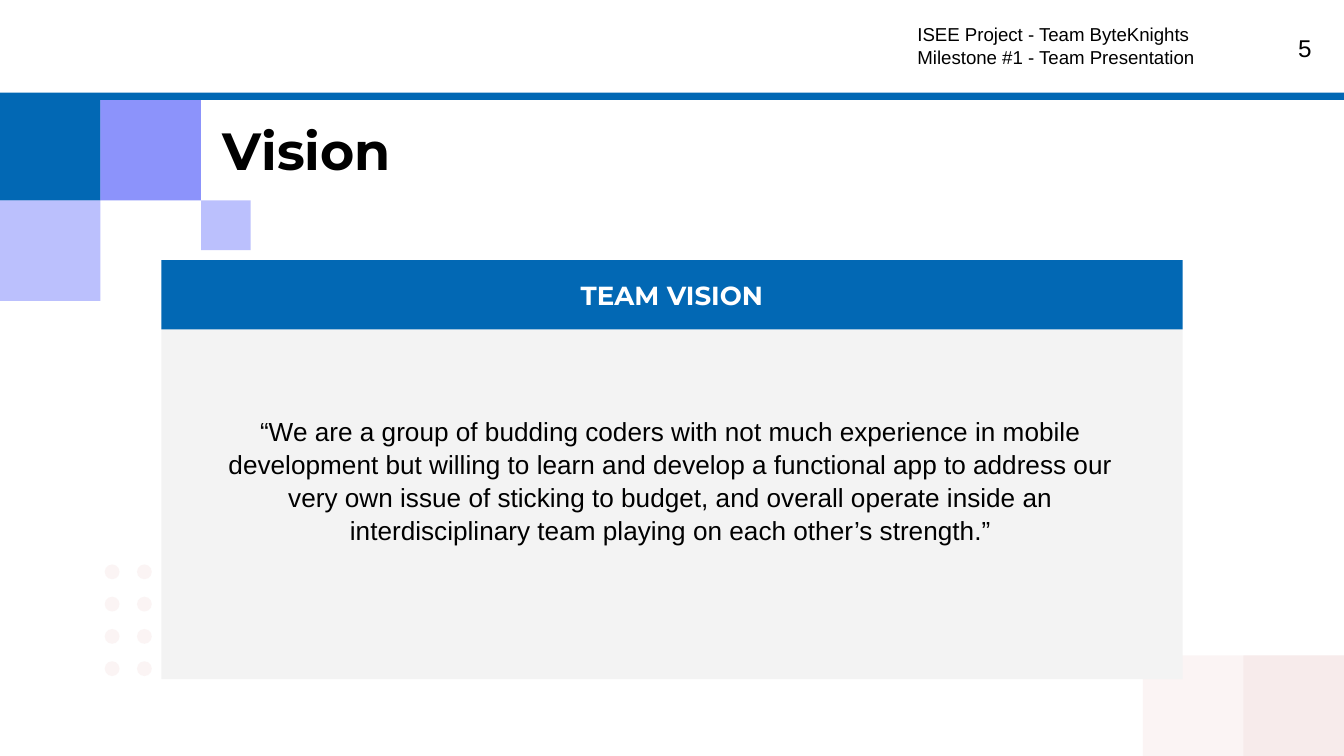
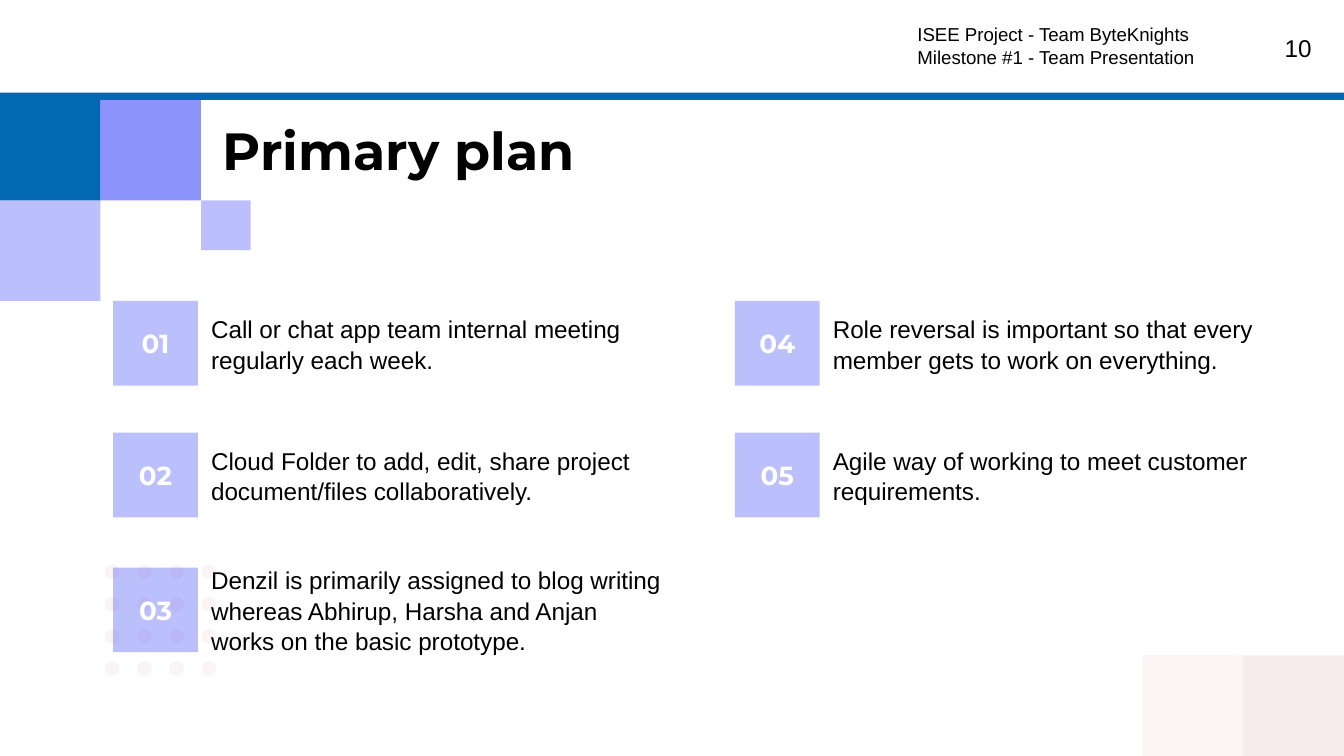
from itertools import product

from lxml.etree import SubElement
from pptx import Presentation
from pptx.dml.color import RGBColor
from pptx.enum.shapes import MSO_SHAPE as Shape
from pptx.enum.text import MSO_ANCHOR as Anchor, MSO_AUTO_SIZE as AutoSize, PP_ALIGN as Align
from pptx.oxml.ns import qn
from pptx.util import Cm, Pt

WIDTH, HEIGHT = 25.4, 14.29
BLUE, VIOLET, ROSE, PALE_ROSE = "0268B4", "2634F9", "F2DADA", "F7EBEB"
PANEL, WHITE, BLACK = "F3F3F3", "FFFFFF", "000000"
BODY, DISPLAY = "Arial", "Montserrat"

BLOCK = 1.9
BAR_TOP, BAR_HEIGHT = 1.75, 0.14
HEADER_LINES = ["ISEE Project - Team ByteKnights", "Milestone #1 - Team Presentation"]

VISION = (
    "“We are a group of budding coders with not much experience in mobile "
    "development but willing to learn and develop a functional app to address our "
    "very own issue of sticking to budget, and overall operate inside an "
    "interdisciplinary team playing on each other’s strength.”"
)
PLAN = [
    "Call or chat app team internal meeting regularly each week.",
    "Cloud Folder to add, edit, share project document/files collaboratively.",
    "Denzil is primarily assigned to blog writing whereas Abhirup, Harsha and "
    "Anjan works on the basic prototype.",
    "Role reversal is important so that every member gets to work on everything.",
    "Agile way of working to meet customer requirements.",
]


def rgb(color):
    return RGBColor.from_string(color)


class Deck:
    def __init__(self):
        self.prs = Presentation()
        self.prs.slide_width, self.prs.slide_height = Cm(WIDTH), Cm(HEIGHT)
        self.slide = None

    def start(self, title, number, dot_columns):
        """Add a slide with its title, decoration and header."""
        self.slide = self.prs.slides.add_slide(self.prs.slide_layouts[5])
        self.decorate(dot_columns)
        self.title(title)
        self.text([str(number)], 23.52, 0.36, 1.52, 1.09, size=13, align=Align.RIGHT)
        self.text(HEADER_LINES, 17.09, 0.2, 6.88, 1.32, size=10)

    def decorate(self, dot_columns):
        for row, column in product(range(4), range(dot_columns)):
            self.shape(1.98 + 0.61 * column, 10.67 + 0.61 * row, 0.28, 0.28,
                       ROSE, 28, Shape.OVAL)
        top = BAR_TOP + BAR_HEIGHT
        self.shape(0, top, BLOCK, BLOCK, BLUE)
        self.shape(BLOCK, top, BLOCK, BLOCK, VIOLET, 53)
        self.shape(0, top + BLOCK, BLOCK, BLOCK, VIOLET, 31)
        self.shape(2 * BLOCK, top + BLOCK, 0.94, 0.94, VIOLET, 31)
        self.shape(WIDTH - BLOCK, HEIGHT - BLOCK, BLOCK, BLOCK, PALE_ROSE)
        self.shape(WIDTH - 2 * BLOCK, HEIGHT - BLOCK, BLOCK, BLOCK, ROSE, 28)
        self.shape(0, 0, WIDTH, BAR_TOP, WHITE)
        self.shape(0, BAR_TOP, WIDTH, BAR_HEIGHT, BLUE)

    def title(self, words):
        holder = self.slide.shapes.title
        holder.left, holder.top, holder.width, holder.height = map(Cm, (3.96, 1.98, 19.3, 1.6))
        self.set_text(holder, [words], 28, font=DISPLAY, bold=True, anchor=Anchor.TOP)

    def shape(self, left, top, width, height, color, opacity=100, kind=Shape.RECTANGLE):
        shape = self.slide.shapes.add_shape(kind, *map(Cm, (left, top, width, height)))
        shape.shadow.inherit = False
        shape.line.fill.background()
        shape.fill.solid()
        shape.fill.fore_color.rgb = rgb(color)
        if opacity < 100:
            fill_color = shape.element.spPr.find(".//" + qn("a:srgbClr"))
            SubElement(fill_color, qn("a:alpha")).set("val", str(opacity * 1000))
        return shape

    def label(self, words, left, top, width, height, color, opacity=100):
        """Add a filled box with a bold white caption."""
        box = self.shape(left, top, width, height, color, opacity)
        self.set_text(box, [words], 14, WHITE, DISPLAY, True, Align.CENTER)

    def text(self, lines, left, top, width, height, **style):
        box = self.slide.shapes.add_textbox(*map(Cm, (left, top, width, height)))
        self.set_text(box, lines, **style)

    def set_text(self, shape, lines, size, color=BLACK, font=BODY, bold=False,
                 align=Align.LEFT, anchor=Anchor.MIDDLE, spacing=1.0):
        frame = shape.text_frame
        frame.text = "\n".join(lines)
        frame.word_wrap = True
        frame.auto_size = AutoSize.NONE
        frame.vertical_anchor = anchor
        frame.margin_left = frame.margin_right = Cm(0.25)
        frame.margin_top = frame.margin_bottom = Cm(0.25)
        for paragraph in frame.paragraphs:
            paragraph.alignment = align
            paragraph.line_spacing = spacing
            paragraph.space_before = Pt(0)
            paragraph.font.name, paragraph.font.size = font, Pt(size)
            paragraph.font.bold = bold
            paragraph.font.color.rgb = rgb(color)


def add_vision(deck):
    deck.start("Vision", 5, dot_columns=2)
    deck.shape(3.05, 6.22, 19.3, 6.62, PANEL)
    deck.text([VISION], 3.58, 7.57, 18.19, 4.29, size=14, align=Align.CENTER,
              anchor=Anchor.TOP, spacing=1.05)
    deck.label("TEAM VISION", 3.05, 4.92, 19.3, 1.31, BLUE)


def add_plan(deck):
    deck.start("Primary plan", 10, dot_columns=4)
    tile, text_height = 1.6, 2.18
    columns, rows = (2.14, 13.89), (5.69, 8.18, 10.73)
    for number, (step, (left, top)) in enumerate(zip(PLAN, product(columns, rows)), 1):
        deck.label(f"{number:02}", left, top, tile, tile, VIOLET, 31)
        deck.text([step], left + tile, top + (tile - text_height) / 2, 8.99, text_height,
                  size=13, spacing=1.05)


def main():
    deck = Deck()
    add_vision(deck)
    add_plan(deck)
    deck.prs.save("out.pptx")


if __name__ == "__main__":
    main()
